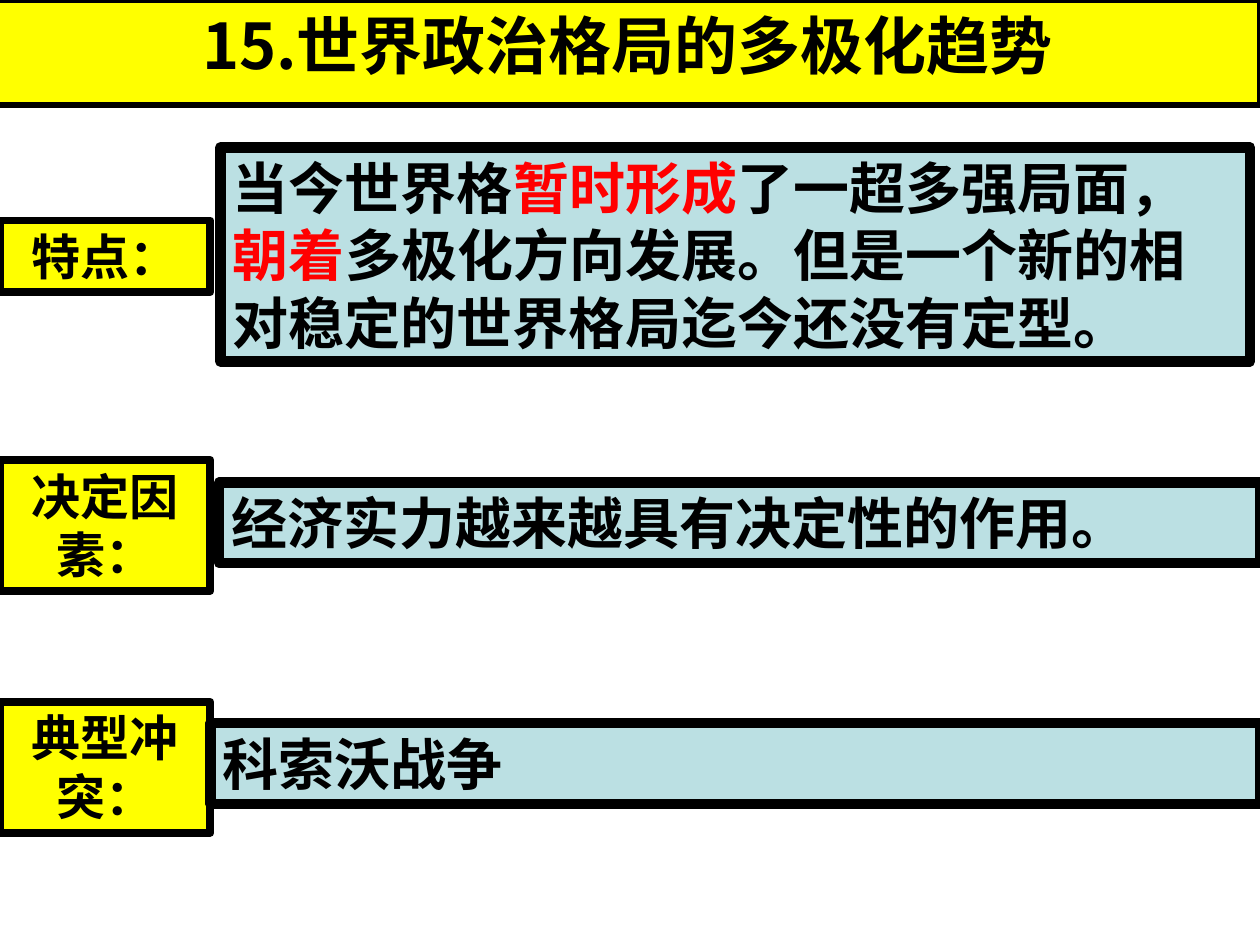
"""Build a one-slide summary of the trend towards a multipolar world."""
from lxml import etree
from pptx import Presentation
from pptx.dml.color import RGBColor
from pptx.enum.lang import MSO_LANGUAGE_ID
from pptx.enum.shapes import MSO_SHAPE
from pptx.enum.text import MSO_ANCHOR, MSO_AUTO_SIZE, PP_ALIGN
from pptx.oxml.ns import qn
from pptx.util import Inches, Pt

RECTANGLE = MSO_SHAPE.RECTANGLE
TOP = MSO_ANCHOR.TOP
GROW = MSO_AUTO_SIZE.SHAPE_TO_FIT_TEXT
LEFT, CENTER = PP_ALIGN.LEFT, PP_ALIGN.CENTER
CHINESE = MSO_LANGUAGE_ID.SIMPLIFIED_CHINESE

COLORS = {"ink": "000000", "accent": "FF0000", "label": "FFFF00", "answer": "BBE0E3"}
LATIN, CJK = "Arial", "Noto Sans CJK SC"
TITLE_ONLY = 5
COLUMNS, ROWS = 100, 75


class SummarySlide:
    """Hold the style and the current slide; lengths are grid columns and rows."""

    def __init__(self, deck):
        self.column = deck.slide_width / COLUMNS
        self.row = deck.slide_height / ROWS
        self.slide = deck.slides.add_slide(deck.slide_layouts[TITLE_ONLY])

    def area(self, left, top, width, height):
        """Turn a grid area into lengths."""
        return [round(n * unit) for n, unit in zip(
            (left, top, width, height), (self.column, self.row) * 2)]

    def paint(self, box, fill, border):
        """Fill and outline a box."""
        box.fill.solid()
        box.fill.fore_color.rgb = RGBColor.from_string(COLORS[fill])
        box.line.color.rgb = RGBColor.from_string(COLORS["ink"])
        box.line.width = Pt(border)

    def add_runs(self, box, runs, size, align, font):
        """Add bold runs, each a pair of wording and colour name."""
        frame = box.text_frame
        frame.word_wrap = True
        frame.auto_size = GROW
        frame.vertical_anchor = TOP
        paragraph = frame.paragraphs[0]
        paragraph.alignment = align
        for wording, color in runs:
            run = paragraph.add_run()
            run.text = wording
            run.font.size = Pt(size)
            run.font.bold = True
            run.font.language_id = CHINESE
            run.font.color.rgb = RGBColor.from_string(COLORS[color])
            run.font.name = font
            etree.SubElement(run.font._element, qn("a:ea"), typeface=CJK)

    def title(self, wording, area):
        """Place the title banner."""
        banner = self.slide.shapes.title
        banner.left, banner.top, banner.width, banner.height = self.area(*area)
        self.paint(banner, "label", 3)
        self.add_runs(banner, [(wording, "ink")], 36, CENTER, CJK)

    def panel(self, runs, area, fill, border, size, align, font):
        """Add a filled rectangle with text."""
        panel = self.slide.shapes.add_shape(RECTANGLE, *self.area(*area))
        panel.shadow.inherit = False
        self.paint(panel, fill, border)
        self.add_runs(panel, runs, size, align, font)

    def label(self, wording, top, height):
        """Add a yellow heading at the left edge."""
        self.panel([(wording, "ink")], (0, top, 16.7, height),
                   "label", 4.5, 28, CENTER, LATIN)

    def answer(self, runs, area, font=CJK):
        """Add a blue statement beside its heading."""
        self.panel(runs, area, "answer", 6, 32, LEFT, font)


def main():
    """Build and save the deck."""
    deck = Presentation()
    deck.slide_width, deck.slide_height = Inches(10), Inches(7.5)
    summary = SummarySlide(deck)
    summary.title("15.世界政治格局的多极化趋势", (-0.4, 0, 100.4, 7))

    for wording, top, height in (
        ("特点：", 17.5, 5.7),
        ("决定因素：", 36.5, 10.4),
        ("典型冲突：", 55.7, 10.4),
    ):
        summary.label(wording, top, height)

    features = [
        ("当今世界格", "ink"),
        ("暂时形成", "accent"),
        ("了一超多强局面，", "ink"),
        ("朝着", "accent"),
        ("多极化方向发展。但是一个新的相对稳定的世界格局迄今还没有定型。", "ink"),
    ]
    summary.answer(features, (17.5, 11.7, 81.7, 17))
    summary.answer([("经济实力越来越具有决定性的作用。", "ink")], (17.4, 38.3, 82.6, 6.4))
    summary.answer([("科索沃战争", "ink")], (16.7, 57.4, 83.3, 6.4), LATIN)
    deck.save("out.pptx")


if __name__ == "__main__":
    main()
